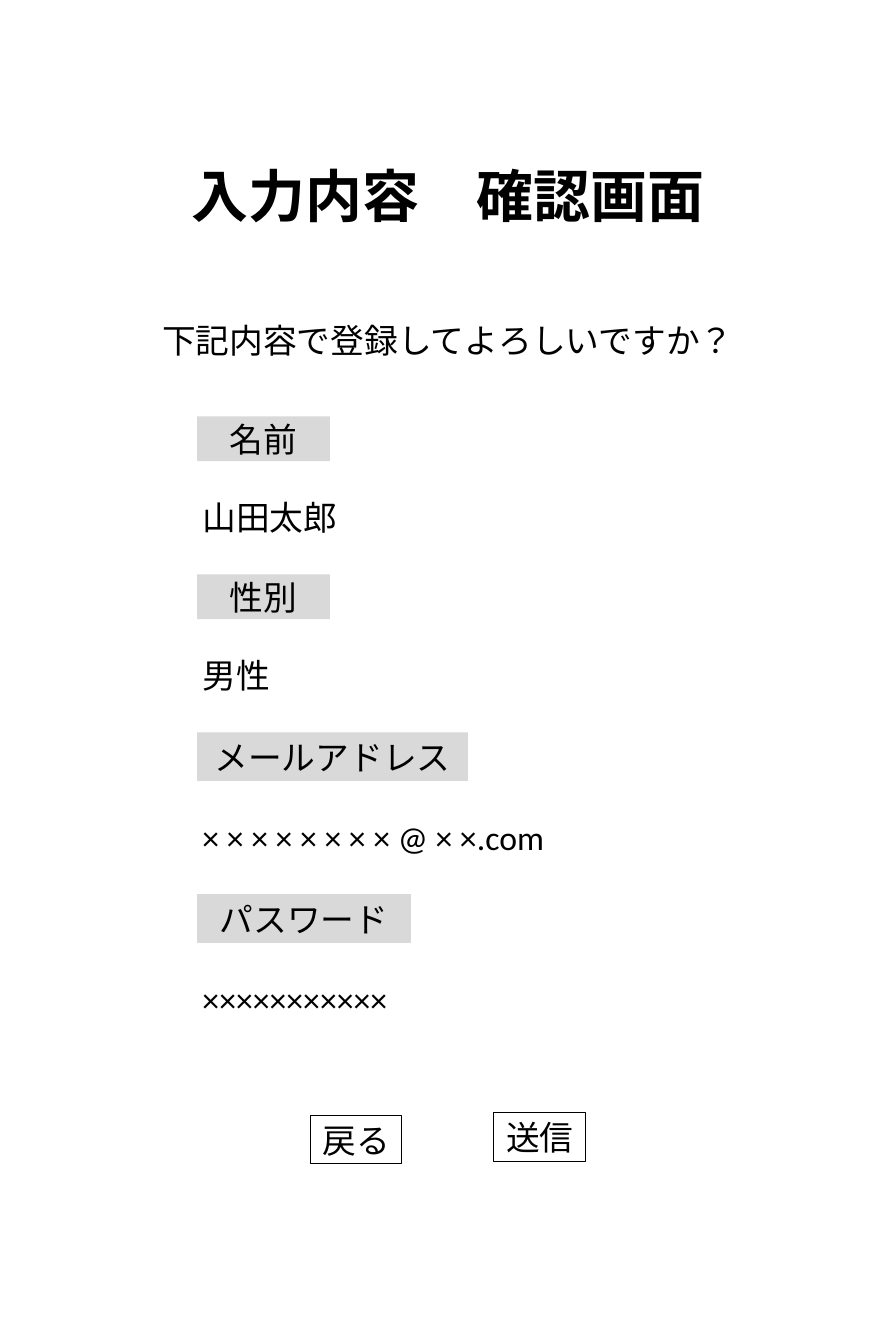
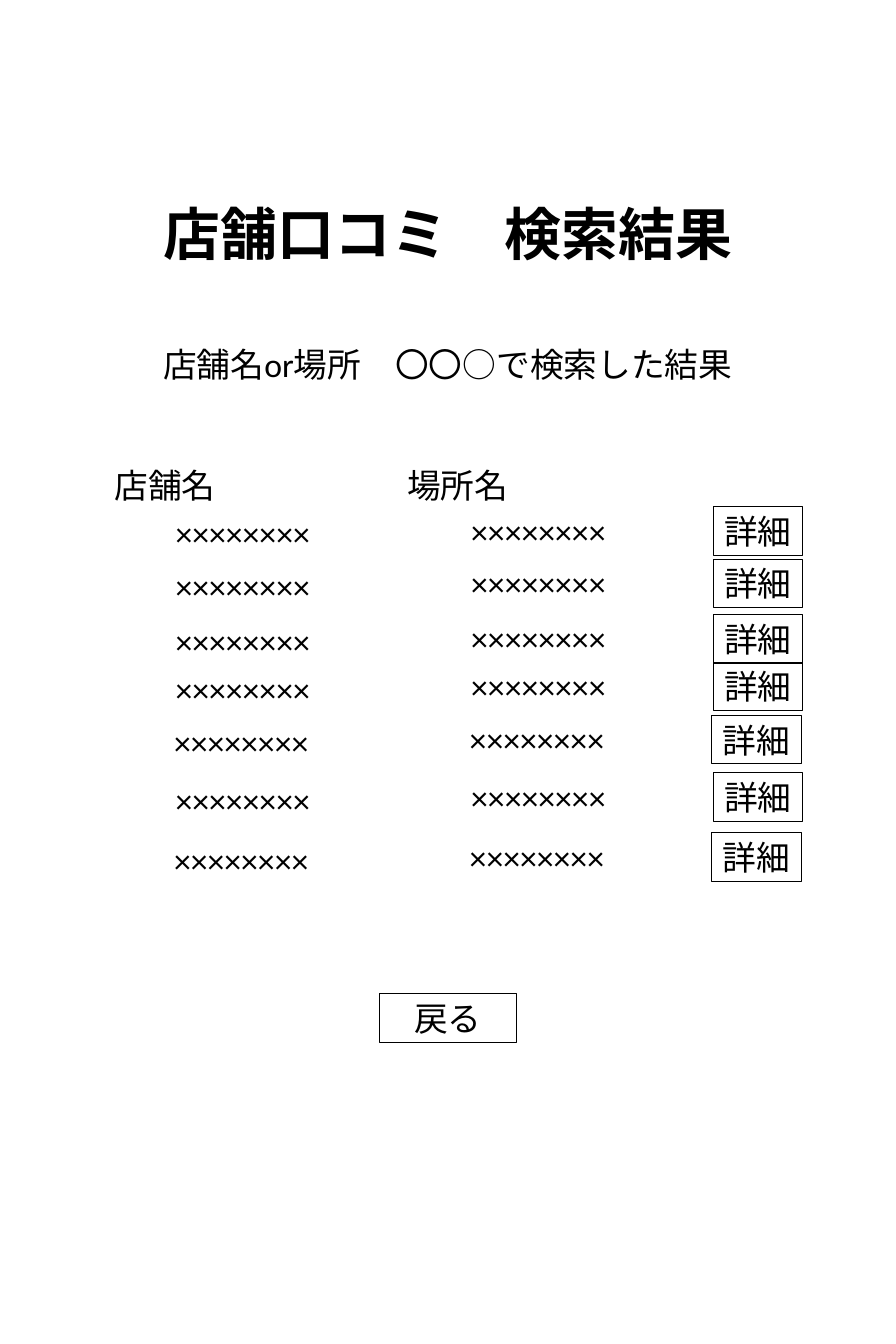
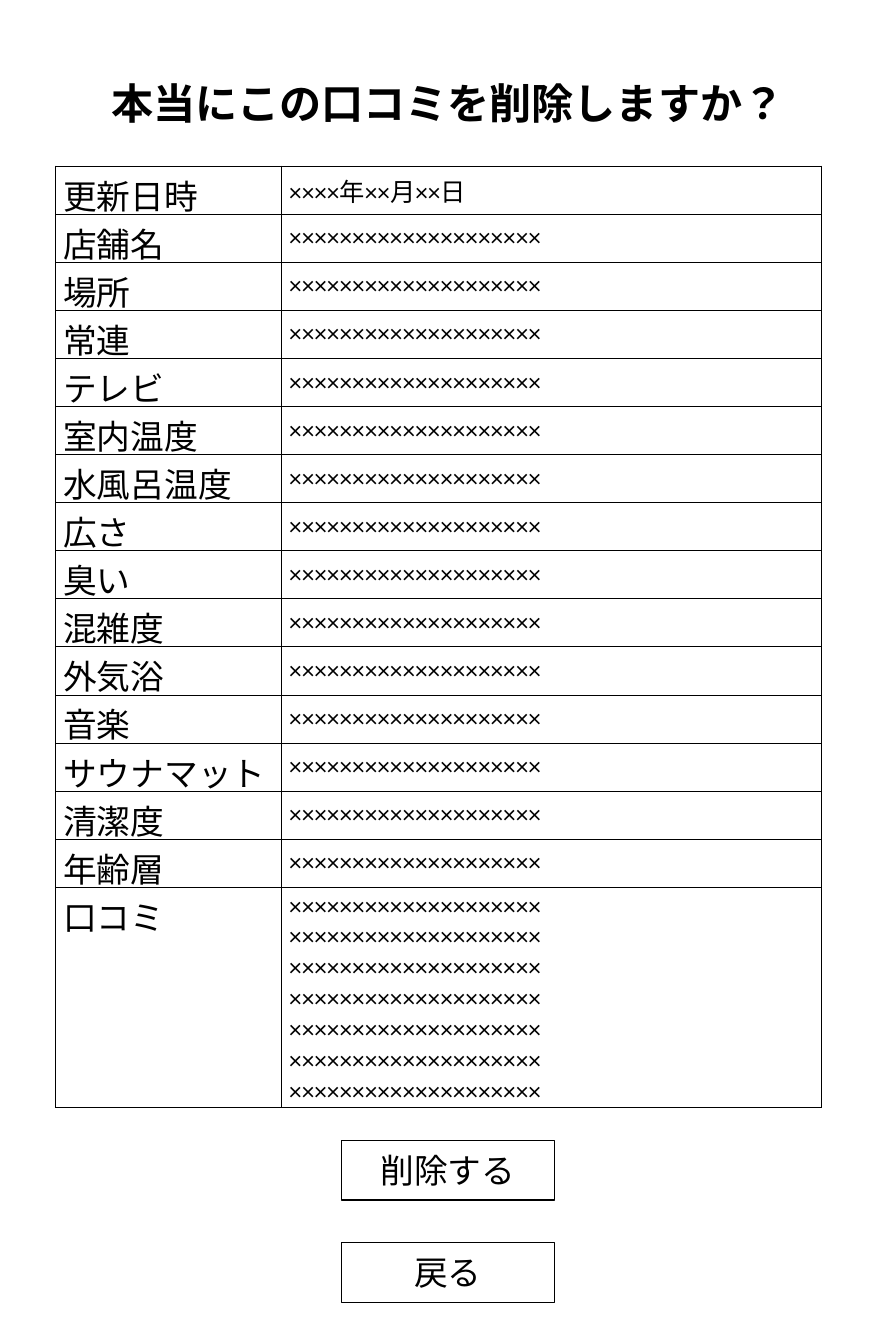
from lxml.etree import SubElement
from pptx import Presentation
from pptx.dml.color import RGBColor
from pptx.enum.lang import MSO_LANGUAGE_ID as Language
from pptx.enum.shapes import MSO_SHAPE as Shape
from pptx.enum.text import MSO_ANCHOR as Anchor, MSO_AUTO_SIZE as AutoSize, PP_ALIGN as Align
from pptx.oxml.ns import qn
from pptx.util import Cm, Pt

BLACK = RGBColor(0x00, 0x00, 0x00)
GREY = RGBColor(0xD9, 0xD9, 0xD9)
FONT = "Calibri"
PAGE_WIDTH, PAGE_HEIGHT = 30, 45
LINE_HEIGHT = 1.63
TITLE_ONLY = 5

# Titles: text, top, width, height, size
CONFIRM_TITLE = ("入力内容　確認画面", 5.26, 28.88, 2.57, 54)
RESULT_TITLE = ("店舗口コミ　検索結果", 6.53, 28.88, 2.57, 54)
DELETE_TITLE = ("本当にこの口コミを削除しますか？", 2.46, 25, 1.96, 40)

# Form fields: label, label width, label height, value
FIELDS = [
    ("名前", 4.45, 1.5, "山田太郎"),
    ("性別", 4.45, 1.5, "男性"),
    ("メールアドレス", 9.07, LINE_HEIGHT, "× × × × × × × × @ × ×.com"),
    ("パスワード", 7.16, LINE_HEIGHT, "×" * 11),
]
FIELDS_TOP, FIELD_GAP = 13.94, 1.08

# Search results: top of the row and its shift to the right
RESULT_ROWS = [(16.97, 0), (18.72, 0), (20.57, 0), (22.17, 0),
               (23.95, -0.05), (25.88, 0), (27.89, -0.05)]
RESULT_TEXT = "×" * 8

REVIEW_LABELS = ["更新日時", "店舗名", "場所", "常連", "テレビ", "室内温度", "水風呂温度",
                 "広さ", "臭い", "混雑度", "外気浴", "音楽", "サウナマット", "清潔度",
                 "年齢層", "口コミ"]
REVIEW_LINE = "×" * 20
REVIEW_VALUES = {"更新日時": ["××××年××月××日"], "口コミ": [REVIEW_LINE] * 7}


def write(frame, lines, size=32, align=Align.LEFT, bold=False):
    style = {"name": FONT, "size": Pt(size), "bold": bold,
             "language_id": Language.JAPANESE}
    for index, line in enumerate(lines):
        para = frame.paragraphs[0] if index == 0 else frame.add_paragraph()
        para.alignment = align
        span = para.add_run()
        span.text = line
        span.font.color.rgb = BLACK
        for key, value in style.items():
            setattr(span.font, key, value)


def place(shape, left, top, width, height):
    for key, value in zip(("left", "top", "width", "height"), (left, top, width, height)):
        setattr(shape, key, Cm(value))


def add_page(deck, title):
    text, top, width, height, size = title
    page = deck.slides.add_slide(deck.slide_layouts[TITLE_ONLY])
    box = page.shapes.title
    place(box, (PAGE_WIDTH - width) / 2, top, width, height)
    frame = box.text_frame
    frame.vertical_anchor = Anchor.TOP
    frame.auto_size = AutoSize.SHAPE_TO_FIT_TEXT
    write(frame, [text], size, Align.CENTER, bold=True)
    return page


def add_text(page, text, left, top, width, align=Align.CENTER):
    box = page.shapes.add_textbox(Cm(left), Cm(top), Cm(width), Cm(LINE_HEIGHT))
    box.text_frame.word_wrap = True
    box.text_frame.auto_size = AutoSize.SHAPE_TO_FIT_TEXT
    write(box.text_frame, [text], align=align)


def add_box(page, text, left, top, width, height=LINE_HEIGHT, fill=None):
    """Add a filled label, or an outlined button when there is no fill."""
    box = page.shapes.add_shape(Shape.RECTANGLE, Cm(left), Cm(top), Cm(width), Cm(height))
    box.shadow.inherit = False
    if fill is None:
        box.fill.background()
        box.line.color.rgb = BLACK
        box.line.width = Pt(1)
    else:
        box.fill.solid()
        box.fill.fore_color.rgb = fill
        box.line.fill.background()
    box.text_frame.vertical_anchor = Anchor.MIDDLE
    write(box.text_frame, [text], align=Align.CENTER)


def outline(cell):
    props = cell._tc.get_or_add_tcPr()
    for index, side in enumerate(("lnL", "lnR", "lnT", "lnB")):
        line = props.makeelement(qn(f"a:{side}"), {"w": str(Pt(1))})
        color = SubElement(SubElement(line, qn("a:solidFill")), qn("a:srgbClr"))
        color.set("val", str(BLACK))
        props.insert(index, line)


def add_review_table(page):
    row_height, table_height = 1.05, 31.5
    frame = page.shapes.add_table(len(REVIEW_LABELS), 2, Cm(1.86), Cm(5.56),
                                  Cm(25.65), Cm(table_height))
    table = frame.table
    table.first_row = table.horz_banding = False
    for column, width in zip(table.columns, (7.57, 18.08)):
        column.width = Cm(width)
    for row, label in zip(table.rows, REVIEW_LABELS):
        row.height = Cm(row_height)
        name, value = row.cells
        write(name.text_frame, [label])
        write(value.text_frame, REVIEW_VALUES.get(label, [REVIEW_LINE]), 24)
        value.vertical_anchor = Anchor.MIDDLE
        for cell in (name, value):
            cell.fill.background()
            outline(cell)
    frame.height = Cm(table_height)


def build_confirm_page(deck):
    page = add_page(deck, CONFIRM_TITLE)
    add_text(page, "下記内容で登録してよろしいですか？", 5.03, 10.57, 19.94)
    top = FIELDS_TOP
    for label, width, height, value in FIELDS:
        add_box(page, label, 6.6, top, width, height, GREY)
        top += height + FIELD_GAP
        add_text(page, value, 6.53, top, 18.2, Align.LEFT)
        top += LINE_HEIGHT + FIELD_GAP
    add_box(page, "戻る", 10.39, 37.34, 3.07)
    add_box(page, "送信", 16.54, 37.26, 3.07)


def build_result_page(deck):
    page = add_page(deck, RESULT_TITLE)
    add_text(page, "店舗名or場所　〇〇○で検索した結果", 2, 11.4, 26)
    for heading, left in (("店舗名", 3.28), ("場所名", 13.08)):
        add_text(page, heading, left, 15.43, 4.5)
    for top, shift in RESULT_ROWS:
        add_text(page, RESULT_TEXT, 3.18 + shift, top + 0.09, 9.9)
        add_text(page, RESULT_TEXT, 13.08 + shift, top, 9.9)
        add_box(page, "詳細", 23.88 + shift, top, 3)
    add_box(page, "戻る", 12.7, 33.27, 4.6)


def build_delete_page(deck):
    page = add_page(deck, DELETE_TITLE)
    add_review_table(page)
    for text, top in (("削除する", 38.18), ("戻る", 41.6)):
        add_box(page, text, 11.42, top, 7.16, 2)


def main():
    deck = Presentation()
    deck.slide_width, deck.slide_height = Cm(PAGE_WIDTH), Cm(PAGE_HEIGHT)
    for build in (build_confirm_page, build_result_page, build_delete_page):
        build(deck)
    deck.save("out.pptx")


if __name__ == "__main__":
    main()
